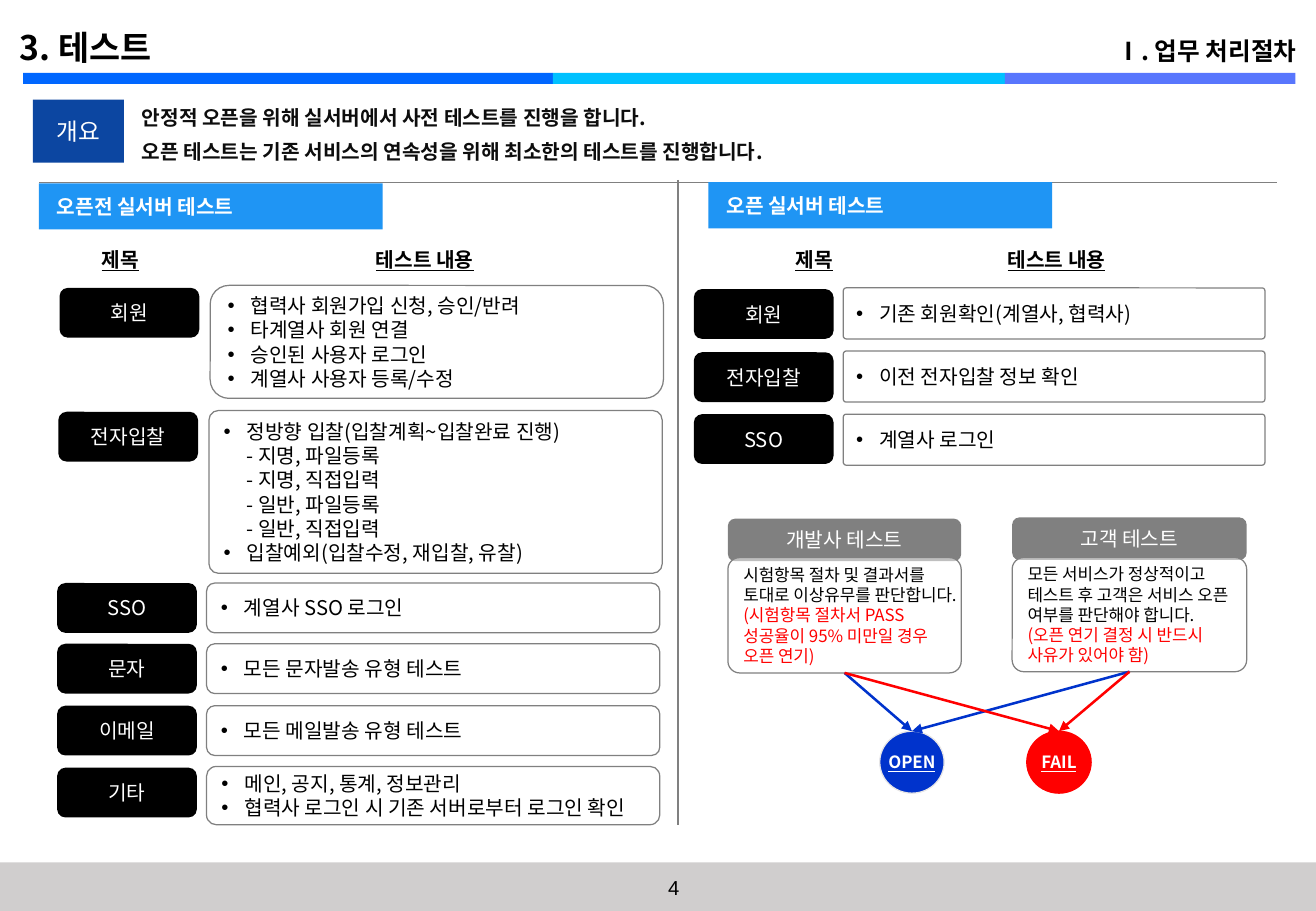
"""Build the slide that lists the tests before and at service opening."""
import pptx
import pptx.util
import pptx.dml.color
import pptx.enum.shapes
import pptx.enum.text
import pptx.oxml
import pptx.oxml.ns
from dataclasses import dataclass
from lxml import etree


@dataclass(frozen=True)
class Theme:
    font: str = "Noto Sans CJK KR"
    number_font: str = "Arial"
    black: str = "000000"
    white: str = "FFFFFF"
    ink: str = "0D0D0D"
    grey: str = "808080"
    footer: str = "D0CECE"
    navy: str = "0C46A1"
    sky: str = "1F95F4"
    blue: str = "0033CC"
    red: str = "FF0000"
    rim: str = "E7E6E6"
    stripes: tuple = ("0067FF", "00C1FF", "5876FD")
    title: float = 20
    chapter: float = 14.6
    badge: float = 14
    body: float = 12
    small: float = 10


theme = Theme()
Inches = pptx.util.Inches
Pt = pptx.util.Pt
rgb = pptx.dml.color.RGBColor.from_string
qn = pptx.oxml.ns.qn
Shape = pptx.enum.shapes.MSO_SHAPE
Align = pptx.enum.text.PP_ALIGN
Anchor = pptx.enum.text.MSO_ANCHOR


def write(box, lines, color=theme.black, size=theme.body, align=Align.LEFT, bold=False,
          underline=False, anchor=Anchor.MIDDLE, wrap=True, bullets=False, font=theme.font):
    frame = box.text_frame
    frame.text = "\n".join(lines)
    frame.word_wrap = wrap
    frame.vertical_anchor = anchor
    for para in frame.paragraphs:
        para.alignment = align
        if bullets:
            properties = para._p.get_or_add_pPr()
            properties.set("marL", str(Inches(0.19)))
            if not para.text.startswith("-"):
                properties.set("indent", str(Inches(-0.19)))
                etree.SubElement(properties, qn("a:buFont"), typeface=theme.number_font)
                etree.SubElement(properties, qn("a:buChar"), char="•")
        for span in para.runs:
            span.font.name = font
            span.font.size = Pt(size)
            span.font.bold = bold
            span.font.underline = underline
            span.font.color.rgb = rgb(color)
            latin = span._r.rPr.find(qn("a:latin"))
            latin.addnext(latin.makeelement(qn("a:ea"), {"typeface": font}))


def draw(kind, left, top, width, height, fill, line=None, corner=None, alpha=None):
    box = page.shapes.add_shape(kind, Inches(left), Inches(top), Inches(width), Inches(height))
    box.shadow.inherit = False
    box.fill.solid()
    box.fill.fore_color.rgb = rgb(fill)
    if line:
        box.line.color.rgb = rgb(line)
        box.line.width = Pt(0.75)
    else:
        box.line.fill.background()
    if corner is not None:
        box.adjustments[0] = corner
    if alpha:
        tint = box._element.spPr.find(qn("a:solidFill"))[0]
        etree.SubElement(tint, qn("a:alpha"), val=str(alpha * 1000))
    return box


deck = pptx.Presentation()
deck.slide_width = Inches(10.83)
deck.slide_height = Inches(7.5)
page = deck.slides.add_slide(deck.slide_layouts[5])

stripe_spans = [(0.19, 4.36), (4.55, 3.72), (8.27, 2.39)]
for (left, width), color in zip(stripe_spans, theme.stripes):
    draw(Shape.RECTANGLE, left, 0.6, width, 0.09, color)
draw(Shape.RECTANGLE, 0, 7.1, 10.83, 0.4, theme.footer)

title = page.shapes.title
title.left, title.top, title.width, title.height = Inches(0.06), Inches(0), Inches(7.36), Inches(0.6)
write(title, ["3. 테스트"], size=theme.title, bold=True)
title.text_frame.auto_size = pptx.enum.text.MSO_AUTO_SIZE.NONE
title.text_frame.paragraphs[0].line_spacing = 1.5

chapter = page.shapes.add_textbox(Inches(8.02), Inches(0.12), Inches(2.75), Inches(0.47))
write(chapter, ["Ⅰ. 업무 처리절차"], size=theme.chapter, align=Align.RIGHT, bold=True, anchor=Anchor.BOTTOM)
chapter.text_frame.paragraphs[0].line_spacing = 0.9

page_number = page.shapes.add_textbox(Inches(4.58), Inches(7.16), Inches(1.93), Inches(0.3))
write(page_number, ["4"], align=Align.CENTER, anchor=Anchor.TOP, font=theme.number_font)

badge = draw(Shape.RECTANGLE, 0.27, 0.82, 0.75, 0.52, theme.navy)
write(badge, ["개요"], theme.white, theme.badge, Align.CENTER)

overview = page.shapes.add_textbox(Inches(1.07), Inches(0.74), Inches(9.52), Inches(0.66))
write(overview, ["안정적 오픈을 위해 실서버에서 사전 테스트를 진행을 합니다.",
                 "오픈 테스트는 기존 서비스의 연속성을 위해 최소한의 테스트를 진행합니다."],
      theme.ink, bold=True, anchor=Anchor.TOP)
for para in overview.text_frame.paragraphs:
    para.line_spacing = Pt(20)

straight = pptx.enum.shapes.MSO_CONNECTOR.STRAIGHT
for ends in [(0.32, 1.5, 10.51, 1.5), (5.58, 1.48, 5.58, 6.79)]:
    divider = page.shapes.add_connector(straight, *map(Inches, ends))
    divider.line.color.rgb = rgb(theme.grey)
    divider.line.width = Pt(0.75)
    etree.SubElement(divider._element.spPr, qn("a:effectLst"))

for left, top, heading in [(0.32, 1.51, "오픈전 실서버 테스트"), (5.83, 1.5, "오픈 실서버 테스트")]:
    banner = draw(Shape.RECTANGLE, left, top, 2.83, 0.38, theme.sky)
    write(banner, [heading], theme.white, bold=True)
    banner.text_frame.paragraphs[0]._p.get_or_add_pPr().set("indent", str(Inches(0.05)))

for left, width, heading in [(0.59, 0.8, "제목"), (2.92, 1.15, "테스트 내용"),
                             (6.3, 0.8, "제목"), (8.12, 1.15, "테스트 내용")]:
    column = page.shapes.add_textbox(Inches(left), Inches(1.99), Inches(width), Inches(0.3))
    write(column, [heading], align=Align.CENTER, bold=True, underline=True, anchor=Anchor.TOP)

test_rows = [
    (0.49, 2.37, "회원", 1.73, 2.35, 3.73, 0.93, None,
     ["협력사 회원가입 신청, 승인/반려", "타계열사 회원 연결", "승인된 사용자 로그인", "계열사 사용자 등록/수정"]),
    (0.48, 3.39, "전자입찰", 1.72, 3.38, 3.73, 1.34, 0.058,
     ["정방향 입찰(입찰계획~입찰완료 진행)", "- 지명, 파일등록", "- 지명, 직접입력",
      "- 일반, 파일등록", "- 일반, 직접입력", "입찰예외(입찰수정, 재입찰, 유찰)"]),
    (0.47, 4.8, "SSO", 1.7, 4.8, 3.73, 0.41, None, ["계열사 SSO 로그인"]),
    (0.47, 5.3, "문자", 1.7, 5.3, 3.73, 0.41, None, ["모든 문자발송 유형 테스트"]),
    (0.47, 5.81, "이메일", 1.7, 5.81, 3.73, 0.41, None, ["모든 메일발송 유형 테스트"]),
    (0.47, 6.32, "기타", 1.7, 6.31, 3.73, 0.48, None,
     ["메인, 공지, 통계, 정보관리", "협력사 로그인 시 기존 서버로부터 로그인 확인"]),
    (5.71, 2.38, "회원", 6.94, 2.37, 3.47, 0.42, 0.058, ["기존 회원확인(계열사, 협력사)"]),
    (5.71, 2.9, "전자입찰", 6.94, 2.89, 3.47, 0.42, 0.058, ["이전 전자입찰 정보 확인"]),
    (5.71, 3.41, "SSO", 6.94, 3.41, 3.47, 0.42, 0.058, ["계열사 로그인"]),
]
for label_left, label_top, name, left, top, width, height, corner, items in test_rows:
    label = draw(Shape.ROUNDED_RECTANGLE, label_left, label_top, 1.15, 0.41, theme.black)
    write(label, [name], theme.white, align=Align.CENTER, wrap=False)
    panel = draw(Shape.ROUNDED_RECTANGLE, left, top, width, height, theme.white, theme.grey, corner, 50)
    write(panel, items, wrap=False, bullets=True)

review_cards = [
    (5.99, 4.27, 1.92, 0.95, "개발사 테스트", 2,
     ["시험항목 절차 및 결과서를", "토대로 이상유무를 판단합니다.",
      "(시험항목 절차서 PASS", "성공율이 95% 미만일 경우", "오픈 연기)"]),
    (8.33, 4.26, 1.93, 0.94, "고객 테스트", 3,
     ["모든 서비스가 정상적이고", "테스트 후 고객은 서비스 오픈", "여부를 판단해야 합니다.",
      "(오픈 연기 결정 시 반드시", "사유가 있어야 함)"]),
]
cards = []
for left, top, width, height, name, warning_start, lines in review_cards:
    header = draw(Shape.ROUNDED_RECTANGLE, left, top, width, 0.35, theme.grey)
    write(header, [name], theme.white, align=Align.CENTER, wrap=False)
    card = draw(Shape.ROUNDED_RECTANGLE, left, 4.59, width, height, theme.white, theme.grey, 0.102, 50)
    write(card, lines, size=theme.small, wrap=False)
    for para in card.text_frame.paragraphs[warning_start:]:
        para.runs[0].font.color.rgb = rgb(theme.red)
    cards.append(card)

for left, verdict, color, rim in [(7.24, "OPEN", theme.blue, theme.rim), (8.45, "FAIL", theme.red, theme.red)]:
    circle = draw(Shape.OVAL, left, 6.02, 0.53, 0.51, color, rim)
    write(circle, [verdict], theme.white, theme.small, Align.CENTER, True, True, wrap=False)
    for card in cards:
        arrow = page.shapes.add_connector(straight, 0, 0, 0, 0)
        arrow.begin_connect(card, 2)
        arrow.end_connect(circle, 0)
        arrow.line.color.rgb = rgb(color)
        arrow.line.width = Pt(1.5)
        etree.SubElement(arrow.line._get_or_add_ln(), qn("a:tailEnd"), type="triangle")
        etree.SubElement(arrow._element.spPr, qn("a:effectLst"))

deck.save("out.pptx")
